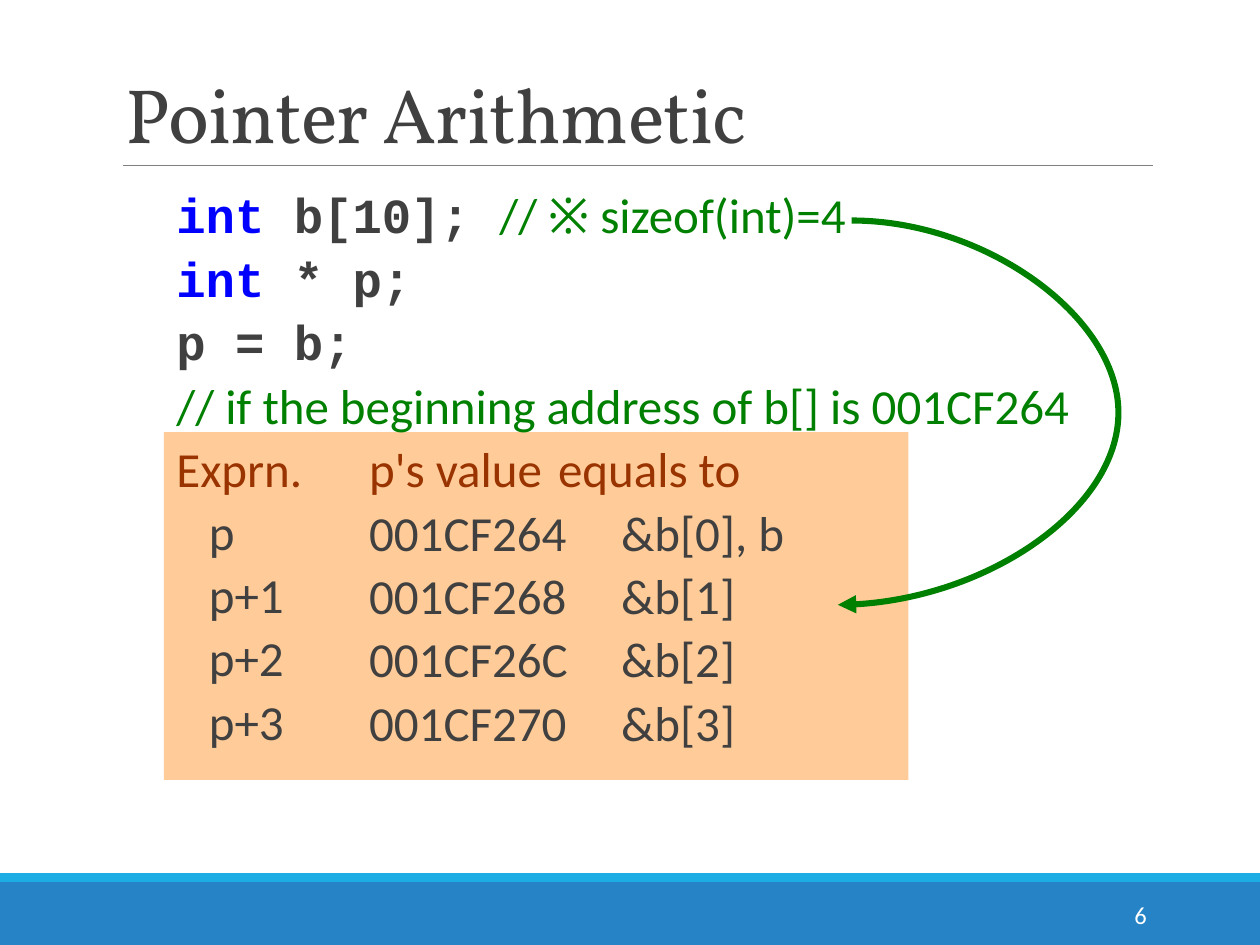
from lxml.etree import SubElement
from pptx import Presentation
from pptx.dml.color import RGBColor
from pptx.enum.shapes import MSO_CONNECTOR as Connector, MSO_SHAPE as Shape
from pptx.enum.text import MSO_ANCHOR as Anchor, PP_ALIGN as Align
from pptx.oxml.ns import qn
from pptx.util import Inches, Pt

# Content: each line is a list of (text, style) runs
TITLE = "Pointer Arithmetic"
PAGE_NUMBER = "6"
CODE_LINES = [
    [("int", "keyword"), (" b[10]; ", "code"), ("// ※ sizeof(int)=4", "comment")],
    [("int", "keyword"), (" * p;", "code")],
    [("p = b;", "code")],
    [("// if the beginning address of b[] is 001CF264", "comment")],
]
HEADINGS = ("Exprn.", "p's value", "equals to")
ROWS = [
    ("p", "001CF264", "&b[0], b"),
    ("p+1", "001CF268", "&b[1]"),
    ("p+2", "001CF26C", "&b[2]"),
    ("p+3", "001CF270", "&b[3]"),
]

COLORS = {
    "text": "404040", "keyword": "0000FF", "comment": "008000",
    "heading": "993300", "panel": "FFCC99", "footer": "2683C6",
    "accent": "1CADE4", "rule": "808080", "white": "FFFFFF",
}
# Style: font, size, colour, bold
STYLES = {
    "title": ("Vollkorn", 44, "text", False),
    "keyword": ("Courier New", 28, "keyword", True),
    "code": ("Courier New", 28, "text", True),
    "comment": ("Calibri", 28, "comment", False),
    "heading": ("Calibri", 28, "heading", False),
    "cell": ("Calibri", 28, "text", False),
    "number": ("Calibri", 14, "white", False),
}


def color(name):
    return RGBColor.from_string(COLORS[name])


def add_bar(left, top, width, height, fill):
    bar = slide.shapes.add_shape(
        Shape.RECTANGLE, Inches(left), Inches(top), Inches(width), Inches(height))
    bar.shadow.inherit = False
    bar.fill.solid()
    bar.fill.fore_color.rgb = color(fill)
    bar.line.fill.background()


def add_line(kind, start, end, line_color, width):
    line = slide.shapes.add_connector(kind, *map(Inches, start + end))
    line.line.color.rgb = color(line_color)
    line.line.width = Pt(width)
    SubElement(line._element.spPr, qn("a:effectLst"))
    return line


def add_text(left, top, width, height, lines, anchor=Anchor.TOP):
    box = slide.shapes.add_textbox(
        Inches(left), Inches(top), Inches(width), Inches(height))
    frame = box.text_frame
    frame.word_wrap = True
    frame.vertical_anchor = anchor
    for index, runs in enumerate(lines):
        paragraph = frame.paragraphs[0] if index == 0 else frame.add_paragraph()
        for text, style in runs:
            run = paragraph.add_run()
            run.text = text
            name, size, font_color, bold = STYLES[style]
            run.font.name = name
            run.font.size = Pt(size)
            run.font.color.rgb = color(font_color)
            run.font.bold = bold
    return frame


def format_list(frame, margin, indent=0, tab=None):
    for paragraph in frame.paragraphs:
        paragraph.line_spacing = 0.9
        paragraph.space_before = Pt(2)
        paragraph.space_after = Pt(4)
        properties = paragraph._p.get_or_add_pPr()
        properties.set("marL", str(Inches(margin)))
        properties.set("indent", str(Inches(indent)))
        if tab:
            tabs = SubElement(properties, qn("a:tabLst"))
            SubElement(tabs, qn("a:tab"), pos=str(Inches(tab)), algn="l")


presentation = Presentation()
presentation.slide_width, presentation.slide_height = Inches(10), Inches(7.5)
slide = presentation.slides.add_slide(presentation.slide_layouts[6])

# Footer bars, title rule and table panel
add_bar(0, 7, 10, 0.5, "footer")
add_bar(0, 6.93, 10, 0.07, "accent")
add_line(Connector.STRAIGHT, (0.98, 1.31), (9.15, 1.31), "rule", 0.5)
add_bar(1.3, 3.43, 5.91, 2.76, "panel")

# Title
title = add_text(0.9, 0.31, 8.25, 1, [[(TITLE, "title")]], Anchor.BOTTOM)
title.paragraphs[0].line_spacing = 0.85
title.paragraphs[0].runs[0].font._element.set("spc", "-50")

# Code, then the value columns set out with tabs
value_lines = [[("\t".join(HEADINGS), "heading")]]
value_lines += [[(f"\t{value}\t{equal}", "cell")] for _, value, equal in ROWS]
body = add_text(0.9, 1.47, 8.25, 5.35, CODE_LINES + value_lines)
body.margin_left = body.margin_right = 0
format_list(body, 2.03, -1.53, 4.71)

# Page number
number = add_text(8.12, 7.06, 1.08, 0.4, [[(PAGE_NUMBER, "number")]], Anchor.MIDDLE)
number.paragraphs[0].alignment = Align.RIGHT

# Curved arrow from the int size to the p+1 row
start, end, bulge = (6.76, 1.75), (6.65, 4.8), 8.88
arrow = add_line(Connector.CURVE, start, end, "comment", 3.5)
SubElement(arrow.line._get_or_add_ln(), qn("a:tailEnd"), type="triangle")
ratio = (bulge - start[0]) / (end[0] - start[0])
geometry = arrow._element.spPr.find(qn("a:prstGeom"))
SubElement(geometry.get_or_add_avLst(), qn("a:gd"),
           name="adj1", fmla=f"val {round(ratio * 100000)}")

# Expression column
expressions = add_text(1.06, 3.98, 1.48, 2.05, [[(row[0], "cell")] for row in ROWS])
format_list(expressions, 0.5)

presentation.save("out.pptx")
